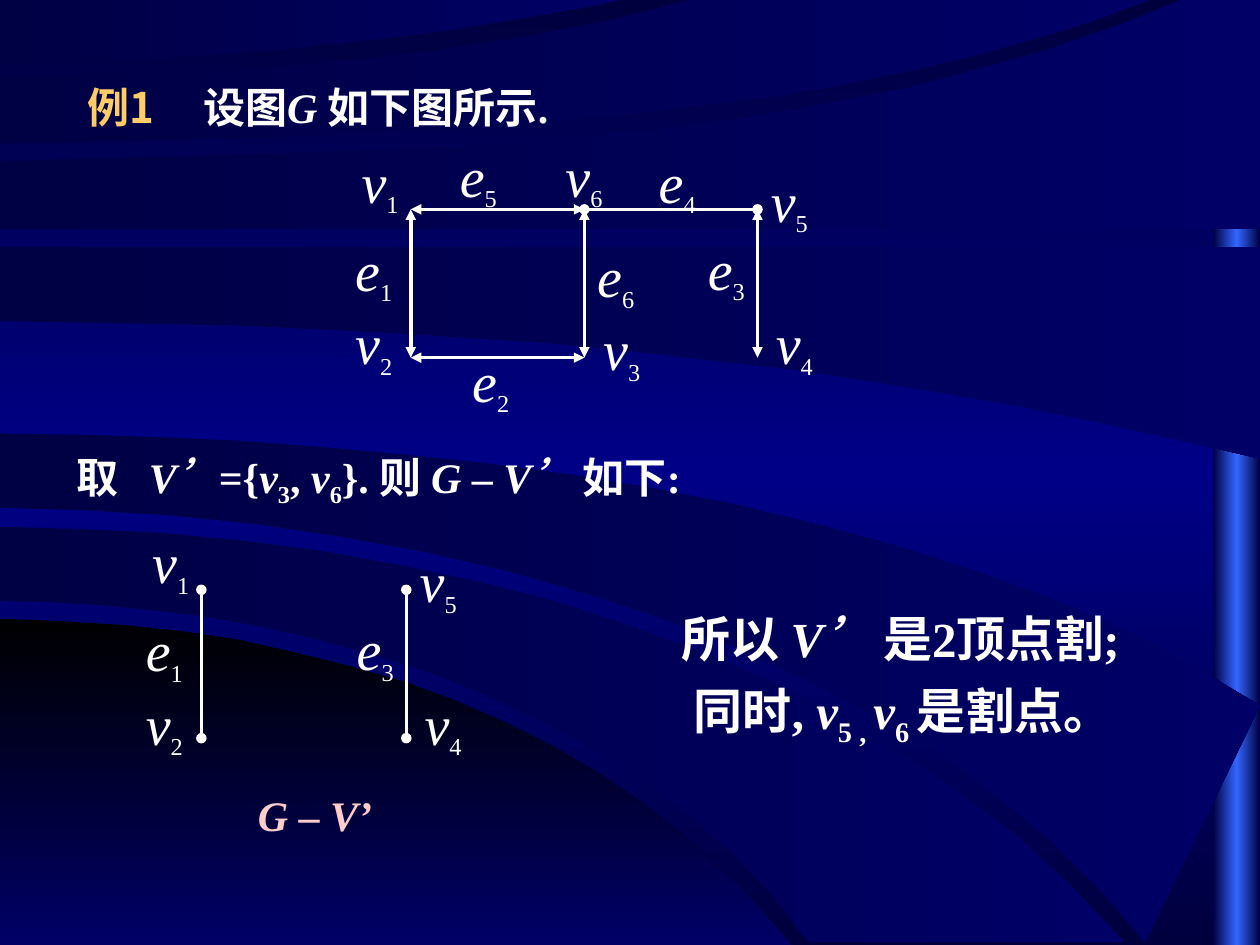
"""Build the slide on vertex cuts: a graph G, the graph G – V’ and the conclusion."""
from copy import deepcopy
from math import prod

from lxml.etree import SubElement
from pptx import Presentation
from pptx.dml.color import RGBColor
from pptx.enum.shapes import MSO_CONNECTOR as LINE, MSO_SHAPE as SHAPE
from pptx.enum.text import MSO_ANCHOR as ANCHOR, MSO_AUTO_SIZE as FIT, PP_ALIGN as ALIGN
from pptx.oxml.ns import qn
from pptx.util import Cm, Pt

COLORS = {
    "white": "FFFFFF", "gold": "FFCC66", "pink": "FFCCCC", "black": "000000",
    "edge": "00003E", "middle": "000086", "night": "000044", "navy": "000066", "blue": "3366FF",
}
SERIF, SANS = "Times New Roman", "Noto Sans CJK SC"


def paint(fill, names, angle):
    fill.gradient()
    fill.gradient_angle = angle
    first = fill.gradient_stops[0]._gs
    for _ in names[2:]:
        first.addnext(deepcopy(first))
    for i, (stop, name) in enumerate(zip(fill.gradient_stops, names)):
        stop.position = i / (len(names) - 1)
        stop.color.rgb = RGBColor.from_string(COLORS[name])


def write(paragraph, runs, size, color="white", bold=True):
    for text, style, *special in runs:
        run = paragraph.add_run()
        run.text = text
        font = run.font
        font.size = Pt(size)
        font.bold = bold
        font.italic = "i" in style
        font.name = SANS if "sans" in special else SERIF
        font.color.rgb = RGBColor.from_string(COLORS["gold" if "gold" in special else color])
        SubElement(font._element, qn("a:ea")).set("typeface", SANS)
        if "s" in style:
            font._element.set("baseline", "-25000")


prs = Presentation()
prs.slide_width, prs.slide_height = Cm(25.4), Cm(19.05)
slide = prs.slides.add_slide(prs.slide_layouts[5])
shapes = slide.shapes
paint(slide.background.fill, ["edge", "middle", "edge"], 270)

pillar = shapes.add_shape(SHAPE.RECTANGLE, Cm(24.46), 0, Cm(0.94), Cm(19.05))
pillar.shadow.inherit = False
pillar.line.fill.background()
paint(pillar.fill, ["night", "blue", "night"], 0)

HUNDREDTH_INCH = Cm(0.0254)
STEPS = 16
bands = [
    ([(0, 491), (249, 521), (462, 606), (628, 750)], [(0, 750), (628, 750)]),
    ([(0, 418), (335, 452), (644, 557), (893, 748)], [(0, 477), (221, 500), (454, 584), (642, 748)]),
    ([(0, 344), (343, 363), (693, 428), (1000, 560)], [(0, 403), (360, 443), (678, 558), (909, 748)]),
    ([(0, 196), (1000, 196)], [(0, 255), (332, 265), (662, 298), (1000, 364)]),
    ([(0, 128), (329, 118), (644, 85), (943, -2), ], [(0, 182), (1000, 182), (1000, -2)]),
    ([(0, 61), (197, 55), (383, 35), (556, -2)], [(0, 114), (341, 103), (648, 71), (917, -2)]),
    ([(0, -2), (501, -2)], [(0, 47), (173, 43), (346, 25), (501, -2)]),
]
for order, sides in enumerate(bands):
    outline = []
    for knots, direction in zip(sides, (1, -1)):
        curve = knots
        if len(knots) == 4:
            curve = []
            for step in range(STEPS + 1):
                t = 3 * step / STEPS
                weights = [prod((t - j) / (i - j) for j in range(4) if j != i) for i in range(4)]
                curve.append([sum(w * knot[axis] for w, knot in zip(weights, knots)) for axis in (0, 1)])
        outline += curve[::direction]
    builder = shapes.build_freeform(*outline[0], scale=HUNDREDTH_INCH)
    builder.add_line_segments(outline[1:], close=True)
    band = builder.convert_to_shape()
    band.shadow.inherit = False
    band.line.fill.background()
    paint(band.fill, ["night" if order else "black", "navy"], 0 if order else 270)

title = shapes.title
shapes._spTree.append(title._element)
title.left, title.top, title.width, title.height = Cm(1.5), Cm(1.32), Cm(21.41), Cm(1.47)
graph, remainder = shapes.add_group_shape(), shapes.add_group_shape()

LEFT, CENTER, RIGHT = 8.28, 11.78, 15.27
TOP, BOTTOM = 4.22, 7.21
LEFT_SHIFT, RIGHT_SHIFT, DOWN = -4.22, -7.08, 7.67

edges = [
    (graph, LEFT, BOTTOM, CENTER, BOTTOM, "triangle"),
    (graph, LEFT, TOP, CENTER, TOP, "triangle"),
    (graph, LEFT, BOTTOM, LEFT, TOP, "triangle"),
    (graph, CENTER, TOP, CENTER, BOTTOM, "triangle"),
    (graph, RIGHT, TOP, RIGHT, BOTTOM, "triangle"),
    (graph, RIGHT, TOP, CENTER, TOP, "oval"),
]
for column, shift in ((LEFT, LEFT_SHIFT), (RIGHT, RIGHT_SHIFT)):
    edges.append((remainder, column + shift, TOP + DOWN, column + shift, BOTTOM + DOWN, "oval"))
for group, x1, y1, x2, y2, ending in edges:
    edge = group.shapes.add_connector(LINE.STRAIGHT, Cm(x1), Cm(y1), Cm(x2), Cm(y2))
    edge.line.width = Pt(2)
    edge.line.color.rgb = RGBColor.from_string(COLORS["white"])
    for end in ("a:headEnd", "a:tailEnd"):
        SubElement(edge.line._get_or_add_ln(), qn(end)).set("type", ending)
    SubElement(edge._element.spPr, qn("a:effectLst"))

spots = {
    "v1": (7.04, 2.84), "v2": (6.91, 6.1), "v3": (11.91, 6.22),
    "v6": (11.15, 2.72), "v5": (15.29, 3.23), "v4": (15.39, 6.1),
    "e1": (6.91, 4.62), "e2": (9.27, 6.86), "e3": (14.02, 4.6),
    "e4": (13.03, 2.84), "e5": (9.02, 2.72), "e6": (11.79, 4.75),
}
labels = [(graph, name, x, y) for name, (x, y) in spots.items()]
for names, shift in ((("v1", "v2", "e1"), LEFT_SHIFT), (("v5", "v4", "e3"), RIGHT_SHIFT)):
    labels += [(remainder, name, spots[name][0] + shift, spots[name][1] + DOWN) for name in names]
for group, (letter, index), x, y in labels:
    label = group.shapes.add_textbox(Cm(x), Cm(y), Cm(1.63), Cm(1.7)).text_frame
    label.word_wrap = True
    label.auto_size = FIT.SHAPE_TO_FIT_TEXT
    write(label.paragraphs[0], [(letter, "i")], 32, bold=False)
    write(label.paragraphs[0], [(index, "s")], 24, bold=False)

caption = remainder.shapes.add_textbox(Cm(4.95), Cm(15.8), Cm(3.25), Cm(1.27)).text_frame
choice = shapes.add_textbox(Cm(1.3), Cm(8.74), Cm(18.59), Cm(1.65)).text_frame
conclusion = shapes.add_textbox(Cm(13.49), Cm(11.91), Cm(9.4), Cm(4.72)).text_frame
heading = title.text_frame
heading.vertical_anchor = ANCHOR.TOP
for frame in (heading, caption, choice, conclusion):
    frame.word_wrap = True
    frame.auto_size = FIT.SHAPE_TO_FIT_TEXT
also = conclusion.add_paragraph()
for paragraph in (heading.paragraphs[0], choice.paragraphs[0], *conclusion.paragraphs):
    paragraph.alignment = ALIGN.LEFT
    paragraph.line_spacing = 1.2
also._p.get_or_add_pPr().set("indent", str(Cm(0.25)))
for frame, stop in ((heading, 2.34), (choice, 1.45)):
    tabs = SubElement(frame.paragraphs[0]._p.get_or_add_pPr(), qn("a:tabLst"))
    SubElement(tabs, qn("a:tab"), pos=str(Cm(stop)), algn="l")

write(heading.paragraphs[0], [("例1\t", "", "sans", "gold"), ("设图", ""), ("G ", "i"), ("如下图所示.", "")], 24)
write(caption.paragraphs[0], [("G ", "i"), ("– ", ""), ("V’", "i")], 24, "pink")
write(choice.paragraphs[0], [
    ("取\t", ""), ("V’", "i"), ("={", ""), ("v", "i"), ("3", "s"), (", ", ""), ("v", "i"), ("6", "s"),
    ("}. 则 ", ""), ("G ", "i"), ("– ", ""), ("V’ ", "i"), ("如下:", ""),
], 24)
write(conclusion.paragraphs[0], [("所以 ", ""), ("V’ ", "i"), ("是2顶点割;", "")], 28)
write(also, [
    ("同时, ", ""), ("v", "i"), ("5 , ", "s"), ("v", "i"), ("6 ", "s"), ("是割点", ""), ("。", "", "sans"),
], 28)

prs.save("out.pptx")
